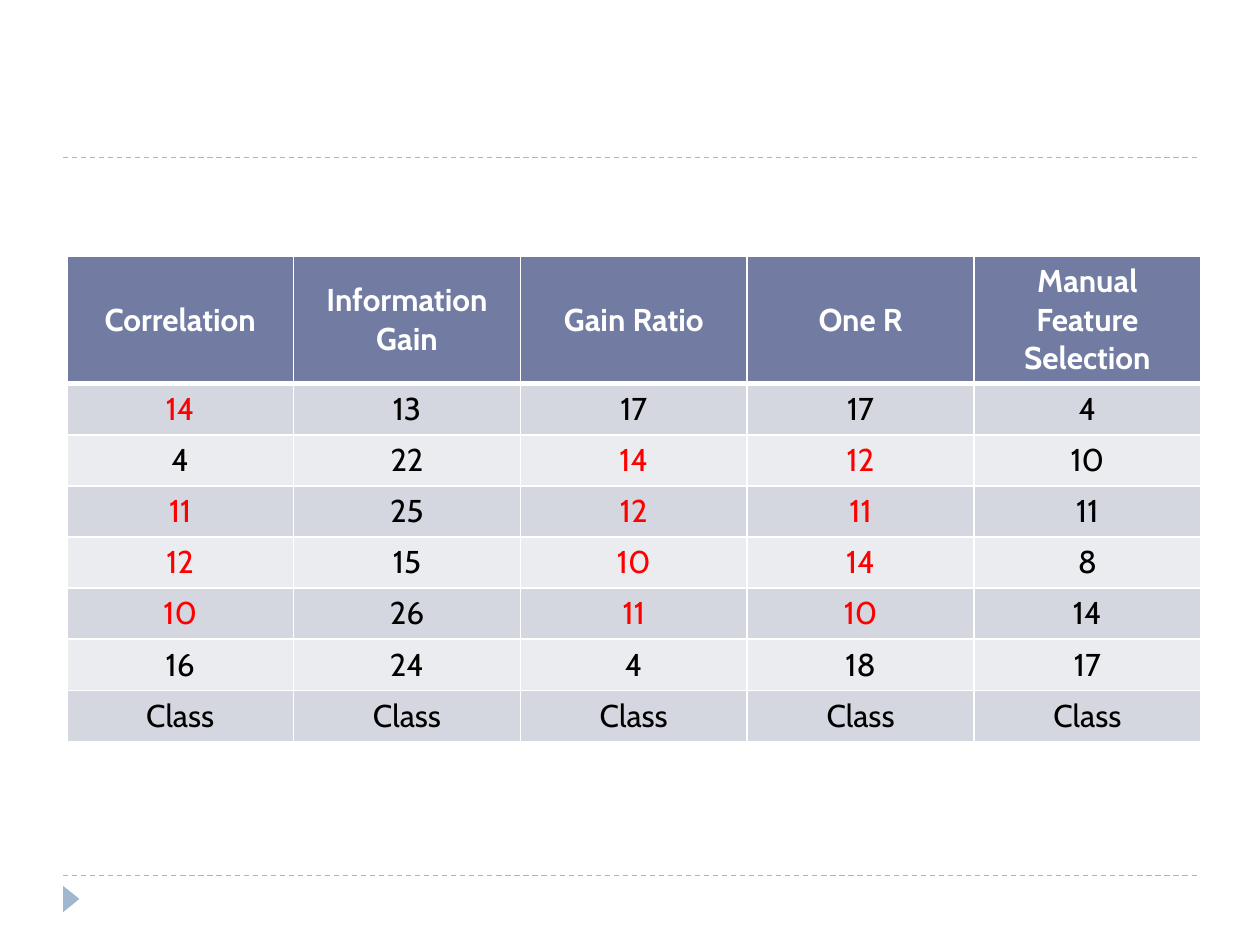
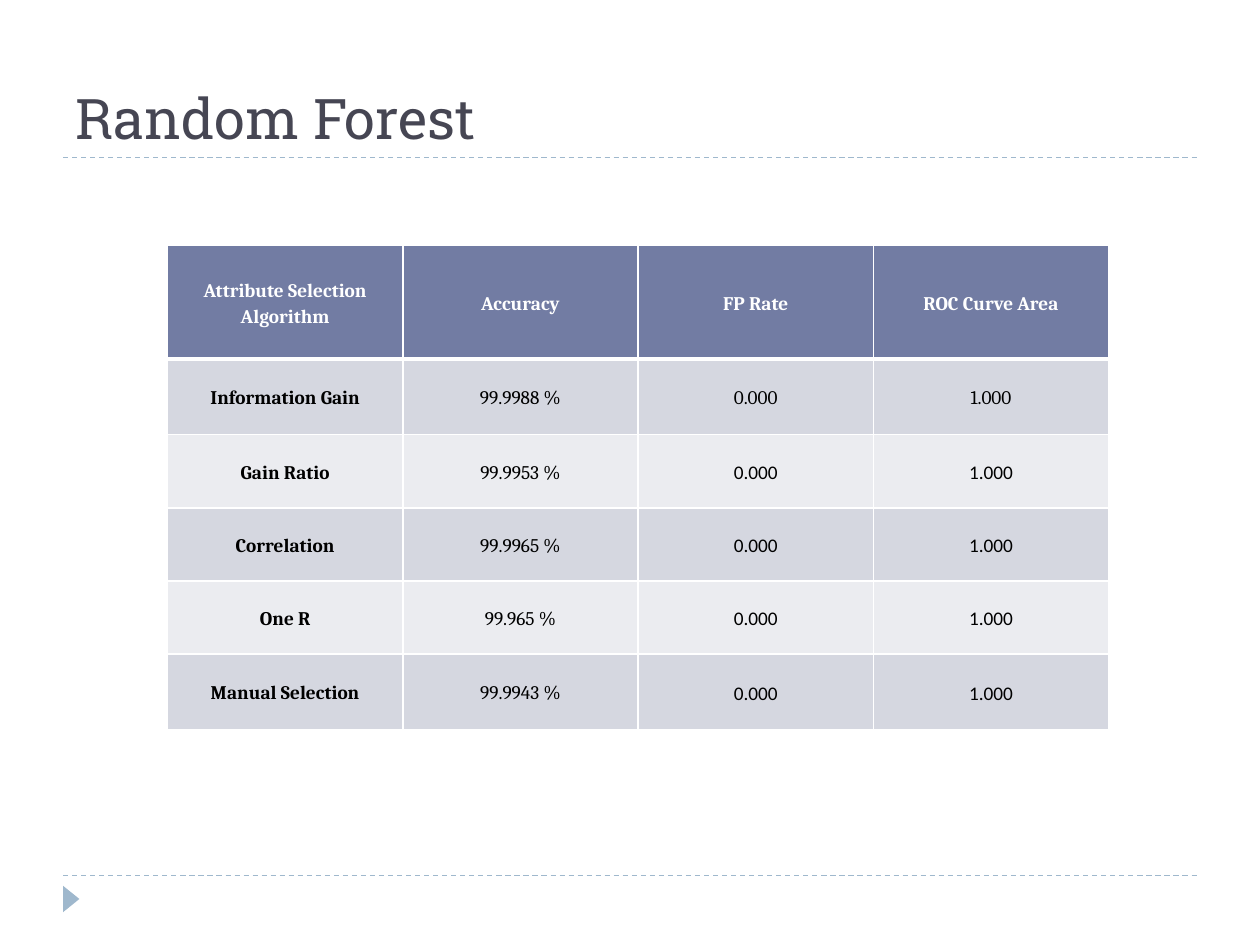
from lxml import etree
from pptx import Presentation
from pptx.dml.color import RGBColor
from pptx.enum import dml, shapes, text
from pptx.oxml.ns import qn
from pptx.util import Emu, Inches, Pt

WIDTH, HEIGHT = Inches(10), Inches(7.5)
COLOURS = {
    "rule": "9FB8CD", "title": "464653", "header": "727CA3", "odd": "D5D7E0",
    "even": "EBECF0", "white": "FFFFFF", "black": "000000", "shared": "FF0000",
}
FONTS = {"title": "Roboto Slab", "features": "Cabin", "results": "Cambria", "figures": "Calibri"}
TITLE_ONLY, BLANK = 5, 6
MARGIN, RULES = 0.05, (1.25 / 7.5, 6.95 / 7.5)

RANKINGS = {
    "Correlation": (14, 4, 11, 12, 10, 16),
    "Information Gain": (13, 22, 25, 15, 26, 24),
    "Gain Ratio": (17, 14, 12, 10, 11, 4),
    "One R": (17, 12, 11, 14, 10, 18),
    "Manual Feature Selection": (4, 10, 11, 8, 14, 17),
}
SHARED_FEATURES = {"10", "11", "12", "14"}
RESULT_HEADINGS = ("Attribute Selection Algorithm", "Accuracy", "FP Rate", "ROC Curve Area")
ACCURACIES = {
    "Information Gain": "99.9988 %", "Gain Ratio": "99.9953 %", "Correlation": "99.9965 %",
    "One R": "99.965 %", "Manual Selection": "99.9943 %",
}


def colour(name):
    """Return a named colour."""
    return RGBColor.from_string(COLOURS[name])


def style_span(span, font, size, shade, bold=False):
    """Format one run of text."""
    span.font.name, span.font.size, span.font.bold = font, Pt(size), bold
    span.font.color.rgb = colour(shade)


def add_rule(page, height_share):
    """Draw a dashed rule between the margins."""
    top = int(HEIGHT * height_share)
    rule = page.shapes.add_connector(
        shapes.MSO_CONNECTOR.STRAIGHT, int(WIDTH * MARGIN), top, int(WIDTH * (1 - MARGIN)), top)
    rule.line.color.rgb = colour("rule")
    rule.line.width = Pt(0.75)
    rule.line.dash_style = dml.MSO_LINE.DASH
    etree.SubElement(rule._element.spPr, qn("a:effectLst"))


def add_marker(page, left, top, width, height):
    """Draw the footer triangle pointing right."""
    marker = page.shapes.add_shape(
        shapes.MSO_SHAPE.ISOSCELES_TRIANGLE, left, top, width, height)
    marker.rotation = 90
    marker.shadow.inherit = False
    marker.fill.solid()
    marker.fill.fore_color.rgb = colour("rule")
    marker.line.fill.background()


def add_page(deck, title=None):
    """Add a slide with the shared rules, marker and optional title."""
    page = deck.slides.add_slide(deck.slide_layouts[TITLE_ONLY if title else BLANK])
    for height_share in reversed(RULES):
        add_rule(page, height_share)
    add_marker(page, Inches(0.46), Inches(7.07), Inches(0.21), Inches(0.13))
    if title:
        box = page.shapes.title
        box.left, box.top = int(WIDTH * MARGIN), Inches(0.17)
        box.width, box.height = int(WIDTH * (1 - 2 * MARGIN)), Inches(1.08)
        box.text_frame.text = title
        box.text_frame.vertical_anchor = text.MSO_ANCHOR.BOTTOM
        para = box.text_frame.paragraphs[0]
        para.alignment = text.PP_ALIGN.LEFT
        style_span(para.runs[0], FONTS["title"], 32, "title")
    return page


def add_borders(cell, row):
    """Give a cell white borders, heavier below the header."""
    widths = {"L": 1, "R": 1, "T": 3 if row == 1 else 1, "B": 3 if row == 0 else 1}
    properties = cell._tc.get_or_add_tcPr()
    for position, (side, width) in enumerate(widths.items()):
        border = etree.Element(qn(f"a:ln{side}"), w=str(Pt(width)))
        fill = etree.SubElement(border, qn("a:solidFill"))
        etree.SubElement(fill, qn("a:srgbClr"), val=COLOURS["white"])
        properties.insert(position, border)


def add_grid(page, box, rows, row_heights, size, look, spacing=None, insets=None):
    """Place a banded table; look(row, column, words) gives font, shade and bold."""
    columns = len(rows[0])
    table = page.shapes.add_table(len(rows), columns, *(Inches(side) for side in box)).table
    for column in table.columns:
        column.width = Emu(int(Inches(box[2]) / columns))
    for row, (values, height) in enumerate(zip(rows, row_heights)):
        table.rows[row].height = Inches(height)
        band = "header" if row == 0 else "odd" if row % 2 else "even"
        for column, value in enumerate(values):
            cell = table.cell(row, column)
            cell.text_frame.text = str(value)
            cell.vertical_anchor = text.MSO_ANCHOR.MIDDLE
            if insets:
                cell.margin_left = cell.margin_right = Inches(insets[0])
                cell.margin_top = cell.margin_bottom = Inches(insets[1])
            cell.fill.solid()
            cell.fill.fore_color.rgb = colour(band)
            add_borders(cell, row)
            para = cell.text_frame.paragraphs[0]
            para.alignment = text.PP_ALIGN.CENTER
            para.line_spacing = spacing
            font, shade, bold = look(row, column, str(value))
            style_span(para.runs[0], font, size, "white" if row == 0 else shade, bold)


def feature_look(row, column, words):
    """Mark the manually chosen features found by the ranking methods."""
    is_shared = column < len(RANKINGS) - 1 and words in SHARED_FEATURES
    return FONTS["features"], "shared" if is_shared else "black", row == 0


def result_look(row, column, words):
    """Embolden headings and set the lower rates in the figure font."""
    font = FONTS["figures" if row > 1 and column > 1 else "results"]
    return font, "black", row == 0 or column == 0


def features_page(deck):
    """Build the slide of selected features."""
    rows = [tuple(RANKINGS), *zip(*RANKINGS.values()), ("Class",) * len(RANKINGS)]
    heights = [1.0] + [2.84 / 7] * 7
    add_grid(add_page(deck), (0.53, 2.03, 9, 3.84), rows, heights, 18, feature_look)


def results_page(deck):
    """Build the slide of classifier results."""
    rows = [RESULT_HEADINGS]
    rows += [(name, accuracy, "0.000", "1.000") for name, accuracy in ACCURACIES.items()]
    heights = [0.9, 0.6, 0.58, 0.58, 0.58, 0.6]
    add_grid(add_page(deck, "Random Forest"), (1.33, 1.95, 7.47, 3.82), rows, heights, 11,
             result_look, spacing=1.15, insets=(0.07, 0))


def main():
    """Build and save the deck."""
    deck = Presentation()
    deck.slide_width, deck.slide_height = WIDTH, HEIGHT
    features_page(deck)
    results_page(deck)
    deck.save("out.pptx")


main()
